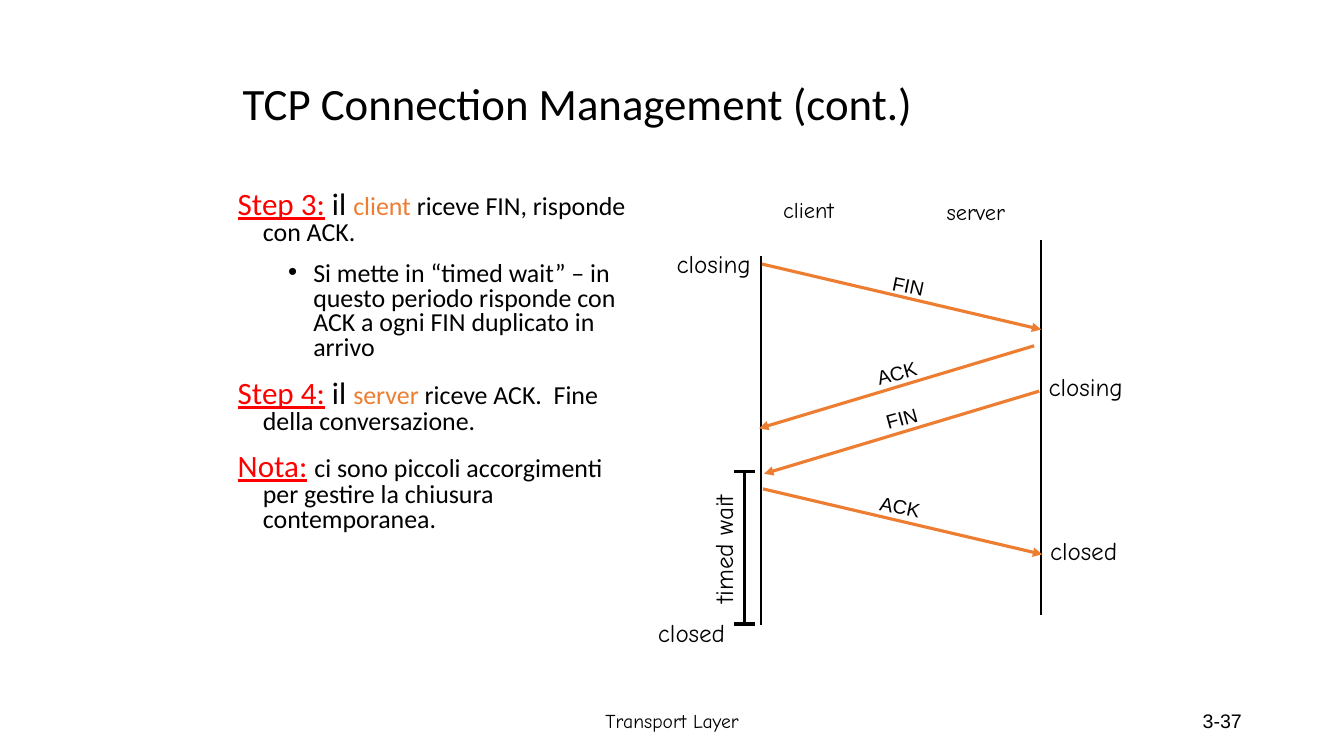
import pptx
import pptx.dml.color
import pptx.enum.shapes
import pptx.enum.text
import pptx.oxml.ns
import pptx.util
from dataclasses import dataclass
from lxml import etree

Pt = pptx.util.Pt
qn = pptx.oxml.ns.qn
ALIGN = pptx.enum.text.PP_ALIGN
ANCHOR = pptx.enum.text.MSO_ANCHOR


@dataclass(frozen=True)
class Theme:
    black: str = "000000"
    red: str = "FF0000"
    orange: str = "ED7D31"
    body_font: str = "Calibri"
    hand_font: str = "Comic Neue"
    plain_font: str = "Arial"
    title: float = 32
    step: float = 22.2
    body: float = 18.5
    state: float = 18
    host: float = 16
    small: float = 14
    thick: float = 2.25
    thin: float = 1.5


T = Theme()


def add_run(p, text, size=T.body, color=T.black, font=T.body_font, underline=False):
    r = p.add_run()
    r.text = text
    r.font.size = Pt(size)
    r.font.name = font
    r.font.underline = underline
    r.font.color.rgb = pptx.dml.color.RGBColor.from_string(color)


def add_box(s, left, top, width, height, wrap=True, anchor=ANCHOR.TOP, rotation=0):
    sp = s.shapes.add_textbox(Pt(left), Pt(top), Pt(width), Pt(height))
    sp.rotation = rotation
    tf = sp.text_frame
    tf.word_wrap = wrap
    tf.vertical_anchor = anchor
    return tf


def add_label(s, text, box, size, font, align=ALIGN.CENTER, **box_format):
    tf = add_box(s, *box, **box_format)
    p = tf.paragraphs[0]
    p.alignment = align
    add_run(p, text, size=size, font=font)
    return p


def add_line(s, start, end, color=T.black, width=T.thick, arrow=False):
    c = s.shapes.add_connector(
        pptx.enum.shapes.MSO_CONNECTOR.STRAIGHT, *map(Pt, start + end))
    c.line.color.rgb = pptx.dml.color.RGBColor.from_string(color)
    c.line.width = Pt(width)
    if arrow:
        etree.SubElement(c.line._get_or_add_ln(), qn("a:tailEnd"), type="triangle")
    etree.SubElement(c._element.spPr, qn("a:effectLst"))


def add_paragraph(tf, runs, first=False, bullet=False):
    p = tf.paragraphs[0] if first else tf.add_paragraph()
    pPr = p._p.get_or_add_pPr()
    pPr.set("marL", str(Pt(54 if bullet else 18)))
    pPr.set("indent", str(Pt(-18)))
    if bullet:
        etree.SubElement(pPr, qn("a:buFont"), typeface=T.plain_font)
        etree.SubElement(pPr, qn("a:buChar"), char="•")
        p.level = 1
    else:
        etree.SubElement(pPr, qn("a:buNone"))
    p.line_spacing = 0.8
    if not first:
        p.space_before = Pt(11.5 if bullet else 13.3)
    for text, run_format in runs:
        add_run(p, text, **run_format)


def add_steps(s):
    heading = dict(size=T.step, color=T.red, underline=True)
    joint = dict(size=T.step)
    host = dict(color=T.orange)
    tf = add_box(s, 162.7, 133.2, 295.9, 272.2)
    add_paragraph(tf, [("Step 3:", heading), (" il ", joint), ("client", host),
                       (" riceve FIN, risponde con ACK.", {})], first=True)
    add_paragraph(tf, [("Si mette in “timed wait” – in questo periodo risponde "
                        "con ACK a ogni FIN duplicato in arrivo", {})], bullet=True)
    add_paragraph(tf, [("Step 4:", heading), (" il ", joint), ("server", host),
                       (" riceve ACK.  Fine della conversazione.", {})])
    add_paragraph(tf, [("Nota:", heading), (" ", joint),
                       ("ci sono piccoli accorgimenti per gestire la chiusura "
                        "contemporanea.", {})])


def add_diagram(s):
    client_x, server_x = 543.6, 743.8
    add_line(s, (client_x, 182.9), (client_x, 446.4), width=T.thin)
    add_line(s, (server_x, 171.4), (server_x, 439.2), width=T.thin)

    down, up = 11.8, 344.6
    messages = [
        ("FIN", (544.3, 188.6), (743.8, 235.4), (619, 192.2, 60, 23.8), down),
        ("ACK", (738.7, 247), (542.2, 306), (532.8, 254.2, 215.3, 23.8), up),
        ("FIN", (742.3, 279.4), (545.8, 338.4), (536.4, 286.6, 215.3, 23.8), up),
        ("ACK", (545, 349.2), (744.5, 396), (613, 349.9, 60, 23.8), down),
    ]
    for text, start, end, box, rotation in messages:
        add_line(s, start, end, color=T.orange, arrow=True)
        add_label(s, text, box, T.small, T.plain_font, rotation=rotation)

    wait_x, wait_top, wait_bottom = 532.1, 337, 445.7
    add_line(s, (wait_x, wait_top), (wait_x, wait_bottom))
    for y in (wait_top, wait_bottom):
        add_line(s, (wait_x - 7.8, y), (wait_x + 7, y))

    labels = [
        ("client", (549.4, 136.6, 56.2, 26.6), T.host, 0),
        ("server", (665.3, 138, 63.4, 26.6), T.host, 0),
        ("closing", (474.5, 173.5, 70.6, 28.8), T.state, 0),
        ("closing", (740.2, 261.8, 70.6, 28.8), T.state, 0),
        ("closed", (460.1, 437.4, 67.7, 28.8), T.state, 0),
        ("closed", (740.2, 378.7, 67.7, 28.8), T.state, 0),
        ("timed wait", (465.1, 378, 103, 28.8), T.state, 270),
    ]
    for text, box, size, rotation in labels:
        add_label(s, text, box, size, T.hand_font, wrap=False, rotation=rotation)


def main():
    prs = pptx.Presentation()
    prs.slide_width, prs.slide_height = Pt(960), Pt(540)
    s = prs.slides.add_slide(prs.slide_layouts[6])
    title = add_label(s, "TCP Connection Management (cont.)", (166.3, 40.3, 612, 70.6),
                      T.title, T.body_font, align=ALIGN.LEFT, anchor=ANCHOR.MIDDLE)
    title.line_spacing = 0.9
    add_steps(s)
    add_diagram(s)
    add_label(s, "Transport Layer", (318.2, 500.4, 324, 28.8), T.small, T.hand_font,
              anchor=ANCHOR.MIDDLE)
    add_label(s, "3-37", (678.2, 500.4, 216, 28.8), T.small, T.plain_font,
              align=ALIGN.RIGHT, anchor=ANCHOR.MIDDLE)
    prs.save("out.pptx")


if __name__ == "__main__":
    main()
